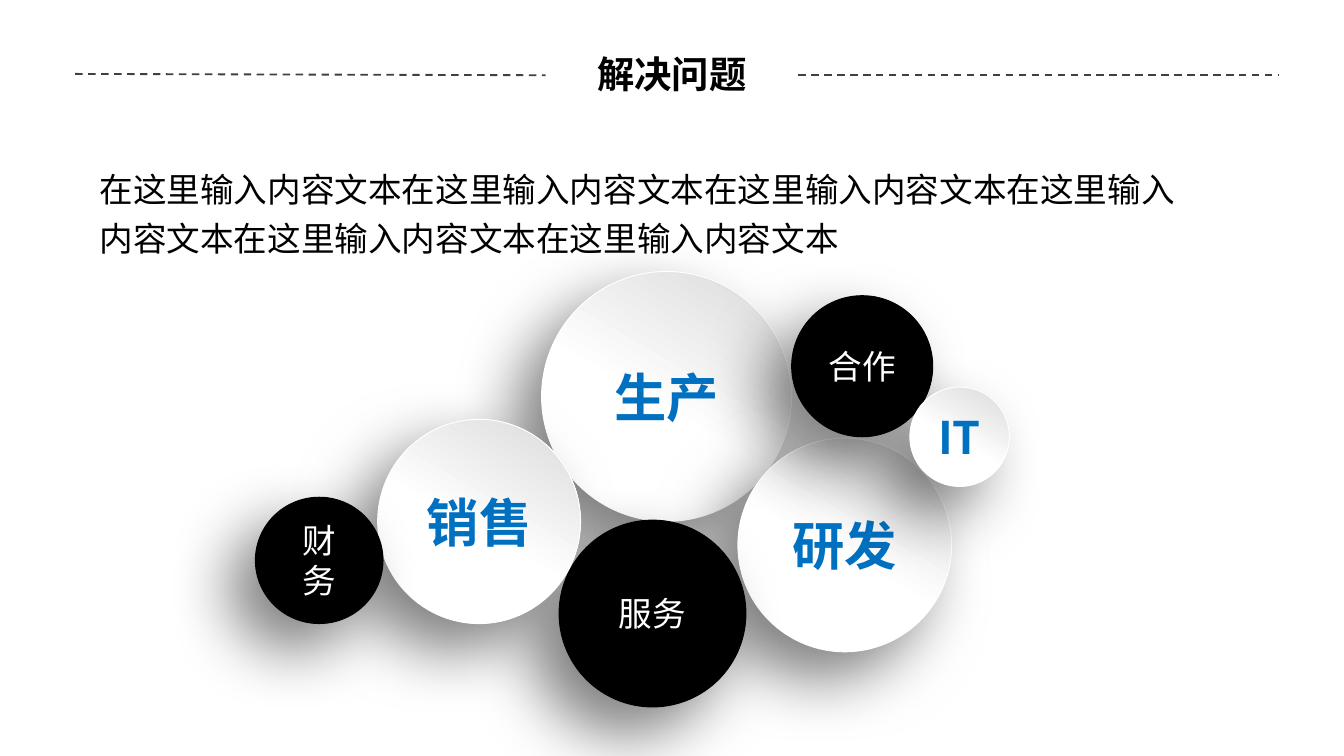
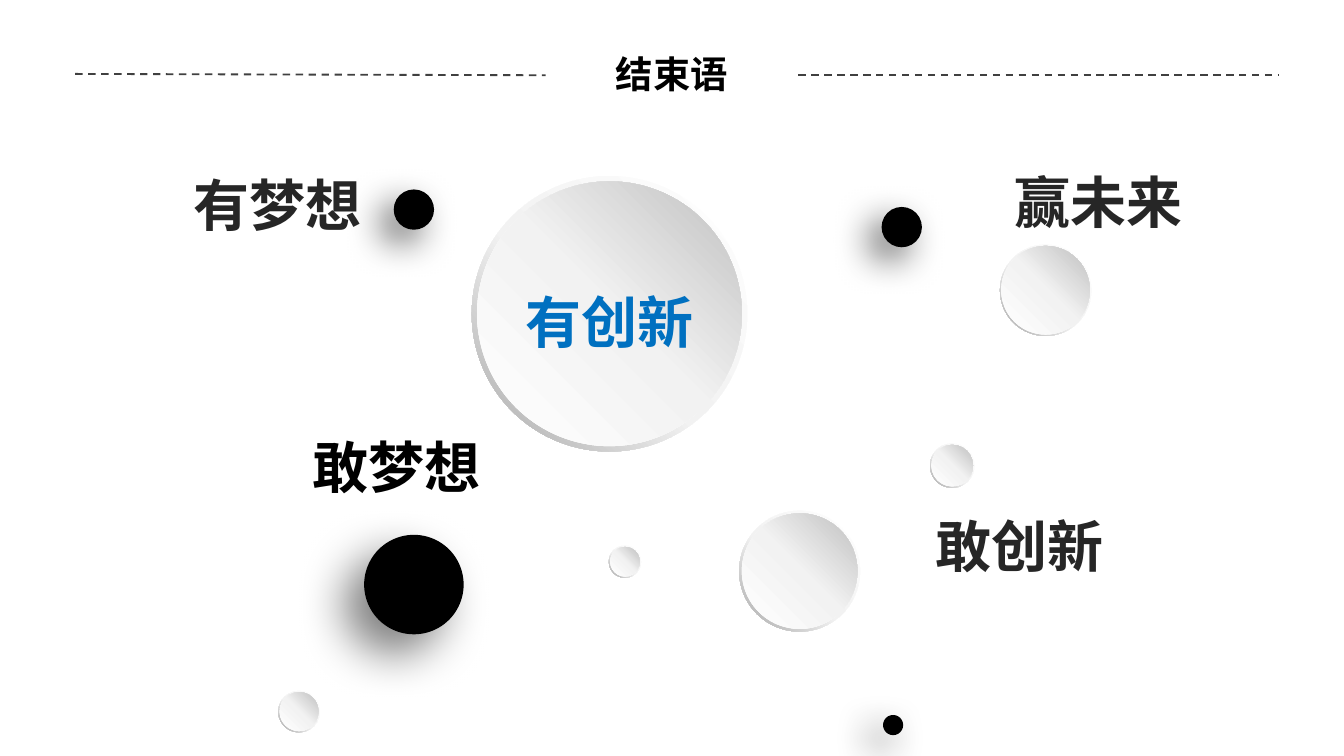
from dataclasses import dataclass
from typing import Any, Optional

from lxml import etree
from pptx import Presentation
from pptx import util as u
from pptx.dml.color import RGBColor
from pptx.enum import dml, shapes, text
from pptx.oxml import ns

PX = 9144
WIDE = 1000 * PX
TALL = WIDE * 9 // 16
FONT = "Noto Sans CJK SC"
INK = {
    "black": "000000", "white": "FFFFFF", "blue": "0070C0",
    "dark": "262626", "rule": "404040", "pale": "F2F2F2",
    "silver": "D9D9D9", "grey": "BFBFBF", "steel": "A6A6A6",
}


@dataclass(frozen=True)
class Box:
    x: int
    y: int
    w: int
    h: int


@dataclass(frozen=True)
class Grad:
    angle: int
    stops: tuple[tuple[int, str], ...]


@dataclass(frozen=True)
class Shade:
    alpha: int
    blur: int
    dist: int


@dataclass(frozen=True)
class Type:
    size: int
    ink: str
    bold: bool = True


@dataclass(frozen=True)
class Ball:
    word: str
    box: Box
    light: bool = True
    size: int = 28


@dataclass(frozen=True)
class Dot:
    x: int
    y: int
    d: int
    shade: Optional[Shade] = None


@dataclass(frozen=True)
class Label:
    word: str
    x: int
    y: int
    ink: str = "dark"


GLOSS = Grad(300, ((45, "white"), (100, "silver")))
RIM = Grad(135, ((0, "white"), (55, "pale"), (100, "steel")))
DISC = Grad(315, ((0, "white"), (51, "pale"), (100, "grey")))
DEEP = Shade(50, 35, 20)
MID = Shade(50, 25, 15)
SOFT = Shade(60, 20, 10)

RULES = (((56, 55), (406, 56)), ((594, 56), (952, 56)))
BODY = "在这里输入内容文本" * 6
BALLS = (
    Ball("生产", Box(403, 202, 186, 186)),
    Ball("研发", Box(549, 326, 159, 159)),
    Ball("服务", Box(416, 387, 139, 139), False, 18),
    Ball("销售", Box(281, 312, 151, 152)),
    Ball("合作", Box(589, 220, 105, 105), False, 18),
    Ball("财务", Box(190, 370, 95, 94), False, 18),
    Ball("IT", Box(677, 288, 74, 74), True, 24),
)
DOTS = (
    Dot(351, 131, 205),
    Dot(271, 398, 74, MID),
    Dot(293, 141, 30, SOFT),
    Dot(692, 330, 33),
    Dot(744, 182, 68),
    Dot(453, 406, 24),
    Dot(207, 514, 31),
    Dot(656, 154, 30, SOFT),
    Dot(657, 532, 15, SOFT),
    Dot(550, 380, 90),
)
LABELS = (
    Label("有梦想", 134, 122),
    Label("敢梦想", 223, 317, "black"),
    Label("有创新", 381, 209, "blue"),
    Label("敢创新", 686, 376),
    Label("赢未来", 745, 120),
)


def rgb(name: str) -> RGBColor:
    """Look up a named colour."""
    return RGBColor.from_string(INK[name])


def place(box: Box) -> tuple[int, ...]:
    """Turn a box into EMU lengths."""
    return tuple(v * PX for v in (box.x, box.y, box.w, box.h))


def sub(node: Any, tag: str, **attrs: Any) -> Any:
    """Append a drawing element to a node."""
    return etree.SubElement(node, ns.qn(f"a:{tag}"), {k: str(v) for k, v in attrs.items()})


def blend(shape: Any, grad: Grad) -> None:
    """Fill a shape with a linear gradient."""
    shape.fill.background()
    props = shape._element.spPr
    fill = sub(props, "gradFill", rotWithShape=1)
    stops = sub(fill, "gsLst")
    for pos, ink in grad.stops:
        sub(sub(stops, "gs", pos=pos * 1000), "srgbClr", val=INK[ink])
    sub(fill, "lin", ang=grad.angle * 60000, scaled=0)
    props.replace(props.find(ns.qn("a:noFill")), fill)


def cast(shape: Any, shade: Shade) -> None:
    """Cast a soft shadow to the lower left."""
    fx = shape._element.spPr.find(ns.qn("a:effectLst"))
    drop = sub(fx, "outerShdw", blurRad=u.Pt(shade.blur), dist=u.Pt(shade.dist),
               dir=135 * 60000, algn="tr", rotWithShape=0)
    sub(sub(drop, "srgbClr", val=INK["black"]), "alpha", val=shade.alpha * 1000)


def write(frame: Any, words: str, kind: Type, mid: bool = False) -> Any:
    """Write one paragraph, centred both ways if asked."""
    para = frame.paragraphs[0]
    para.text = words
    if mid:
        para.alignment = text.PP_ALIGN.CENTER
        frame.vertical_anchor = text.MSO_ANCHOR.MIDDLE
    font = para.font
    font.name, font.size, font.bold = FONT, u.Pt(kind.size), kind.bold
    font.color.rgb = rgb(kind.ink)
    sub(para._p.pPr.find(ns.qn("a:defRPr")), "ea", typeface=FONT)
    return para


def form(pool: Any, kind: Any, box: Box, grad: Optional[Grad] = None,
         shade: Optional[Shade] = None, edge: Optional[str] = None) -> Any:
    """Draw a round shape with its fill, edge and shadow."""
    shape = pool.add_shape(kind, *place(box))
    shape.shadow.inherit = False
    if grad:
        blend(shape, grad)
    else:
        shape.fill.solid()
        shape.fill.fore_color.rgb = rgb("black")
    if edge:
        shape.line.color.rgb = rgb(edge)
        shape.line.width = u.Pt(0.5)
    else:
        shape.line.fill.background()
    if shade:
        cast(shape, shade)
    return shape


def start(deck: Any, title: str) -> Any:
    """Add a slide with its dashed rules and title."""
    slide = deck.slides.add_slide(deck.slide_layouts[6])
    for head, tail in RULES:
        line = slide.shapes.add_connector(
            shapes.MSO_CONNECTOR.STRAIGHT, *(v * PX for v in head + tail))
        line.line.color.rgb = rgb("rule")
        line.line.width = u.Pt(1)
        line.line.dash_style = dml.MSO_LINE.DASH
        sub(line._element.spPr, "effectLst")
    frame = slide.shapes.add_textbox(*place(Box(50, 41, 900, 28))).text_frame
    frame.word_wrap = True
    write(frame, title, Type(20, "black"), True)
    return slide


def ball(slide: Any, item: Ball) -> None:
    """Draw a ball with its word."""
    edge = "white" if item.light else "black"
    shape = form(slide.shapes, shapes.MSO_SHAPE.OVAL, item.box,
                 GLOSS if item.light else None, DEEP, edge)
    kind = Type(item.size, "blue" if item.light else "white", item.light)
    write(shape.text_frame, item.word, kind, True)


def dot(slide: Any, item: Dot) -> None:
    """Draw a black dot, or a rimmed disc when it has no shadow."""
    box = Box(item.x, item.y, item.d, item.d)
    if item.shade:
        form(slide.shapes, shapes.MSO_SHAPE.OVAL, box, shade=item.shade)
        return
    pool = slide.shapes.add_group_shape().shapes
    form(pool, shapes.MSO_SHAPE.DONUT, box, RIM).adjustments[0] = 0.05
    gap = round(item.d * 0.02) or 1
    size = item.d - 2 * gap
    form(pool, shapes.MSO_SHAPE.OVAL, Box(item.x + gap, item.y + gap, size, size), DISC)


def label(slide: Any, item: Label) -> None:
    """Write a large label."""
    frame = slide.shapes.add_textbox(*place(Box(item.x, item.y, 146, 61))).text_frame
    frame.word_wrap = False
    frame.auto_size = text.MSO_AUTO_SIZE.SHAPE_TO_FIT_TEXT
    write(frame, item.word, Type(30, item.ink))


def body(slide: Any) -> None:
    """Write the body text."""
    frame = slide.shapes.add_textbox(*place(Box(67, 116, 824, 80))).text_frame
    frame.word_wrap = True
    frame.auto_size = text.MSO_AUTO_SIZE.SHAPE_TO_FIT_TEXT
    frame.margin_left = frame.margin_right = 7 * PX
    frame.margin_top = frame.margin_bottom = 4 * PX
    write(frame, BODY, Type(18, "black", False)).line_spacing = 1.2


def main() -> None:
    """Build both slides and save them."""
    deck = Presentation()
    deck.slide_width, deck.slide_height = WIDE, TALL
    slide = start(deck, "解决问题")
    for item in BALLS:
        ball(slide, item)
    body(slide)
    slide = start(deck, "结束语")
    for item in DOTS:
        dot(slide, item)
    for item in LABELS:
        label(slide, item)
    deck.save("out.pptx")


if __name__ == "__main__":
    main()
